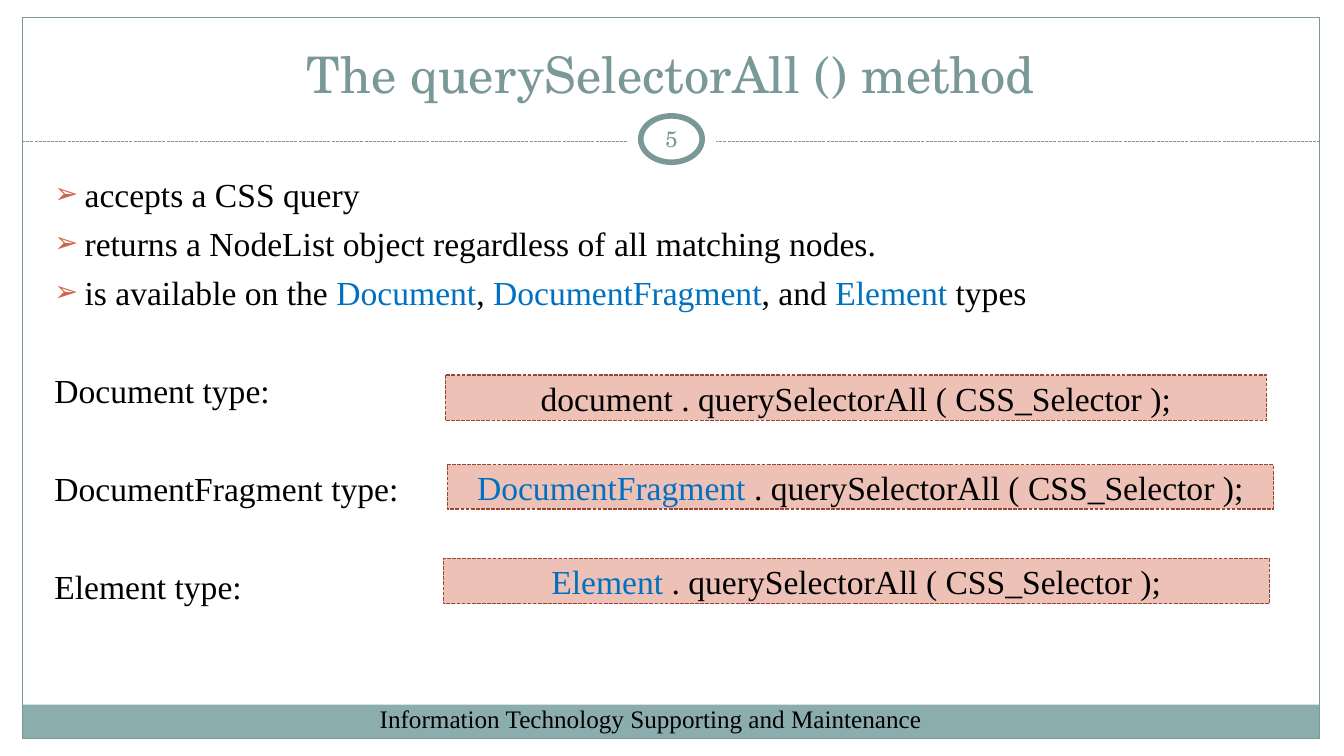
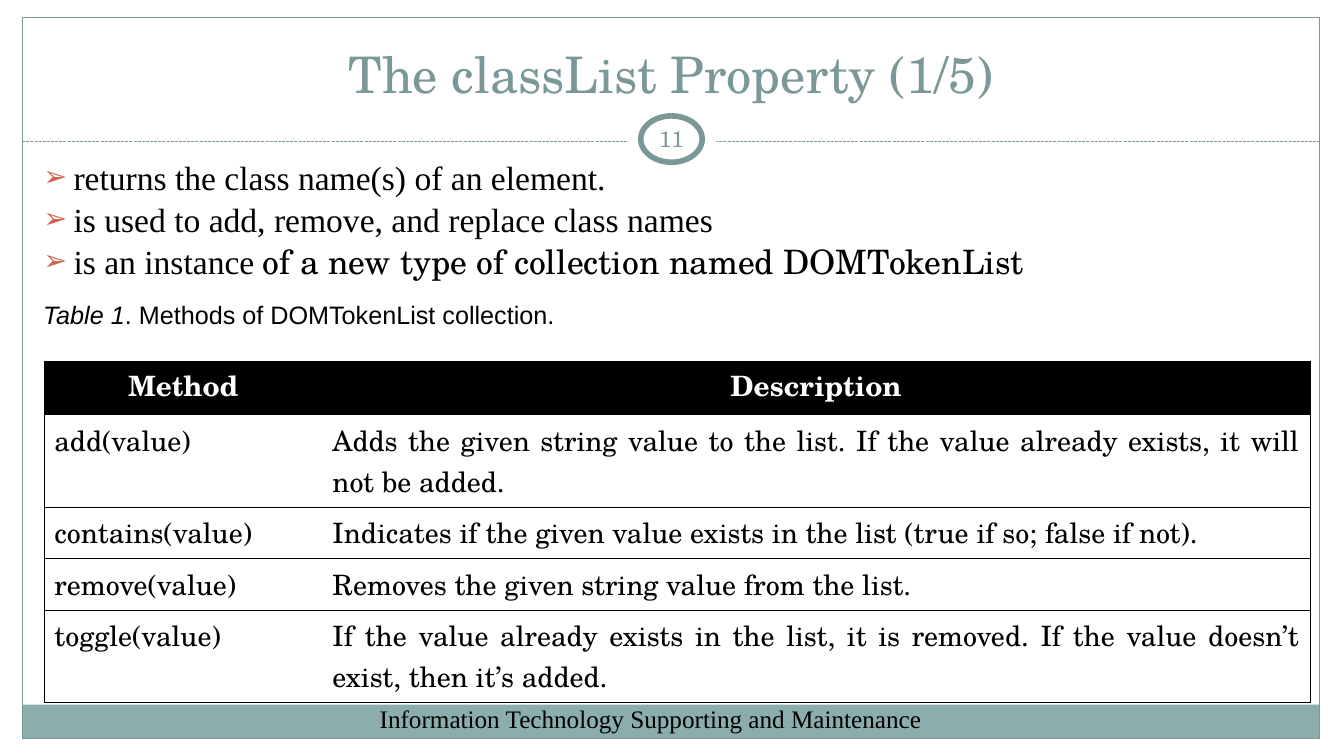
import pptx
import pptx.util
import pptx.dml.color
import pptx.enum.dml
import pptx.enum.shapes
import pptx.enum.text
import pptx.oxml.ns
from lxml import etree

Inches = pptx.util.Inches
Pt = pptx.util.Pt
SHAPE = pptx.enum.shapes.MSO_SHAPE
ALIGN = pptx.enum.text.PP_ALIGN
ANCHOR = pptx.enum.text.MSO_ANCHOR

# Shared look
TEAL, BAND, ACCENT = "7B9899", "8CADAE", "D16349"
CODE_FILL, CODE_LINE, LINK = "EDC1B6", "994733", "0070C0"
BLACK, WHITE = "000000", "FFFFFF"
SERIF, SCHOLA, SANS = "Times New Roman", "TeX Gyre Schola", "Arial"
FOOTER = "Information Technology Supporting and Maintenance"
BODY_LINE, TABLE_LINE = 29, 29.4

# Slide content: a line is a list of (text, run changes)
QUERY_POINTS = [
    [("accepts a CSS query", {})],
    [("returns a NodeList object regardless of all matching nodes.", {})],
    [("is available on the ", {}), ("Document", {"color": LINK}), (", ", {}),
     ("DocumentFragment", {"color": LINK}), (", and ", {}),
     ("Element", {"color": LINK}), (" types", {})],
]
QUERY_LABELS = ["Document type:", "DocumentFragment type:", "Element type:"]
QUERY_CALL = " . querySelectorAll ( CSS_Selector );"
QUERY_CODE = [
    ("document", BLACK, (4.42, 3.72, 8.15, 0.45)),
    ("DocumentFragment", LINK, (4.44, 4.61, 8.2, 0.44)),
    ("Element", LINK, (4.4, 5.54, 8.2, 0.45)),
]
CLASS_POINTS = [
    [("returns the class name(s) of an element.", {})],
    [("is used to add, remove, and replace class names", {})],
    [("is an instance ", {}),
     ("of a new type of collection named DOMTokenList", {"font": SCHOLA})],
]
CLASS_METHODS = [
    ("Method", "Description"),
    ("add(value)", "Adds the given string value to the list. If the value "
                   "already exists, it will not be added."),
    ("contains(value)", "Indicates if the given value exists in the list "
                        "(true if so; false if not)."),
    ("remove(value)", "Removes the given string value from the list."),
    ("toggle(value)", "If the value already exists in the list, it is removed. "
                      "If the value doesn’t exist, then it’s added."),
]


def rgb(color):
    return pptx.dml.color.RGBColor.from_string(color)


def add_xml(parent, tag, **attributes):
    return etree.SubElement(parent, pptx.oxml.ns.qn(tag), attributes)


def add_run(paragraph, text, size, font=SERIF, color=BLACK, bold=False, italic=False):
    run = paragraph.add_run()
    run.text = text
    run.font.size = Pt(size)
    run.font.name = font
    run.font.bold = bold
    run.font.italic = italic
    run.font.color.rgb = rgb(color)


def place(part, box):
    part.left, part.top, part.width, part.height = map(Inches, box)


def style_line(line, color, width, dashed=False):
    line.color.rgb = rgb(color)
    line.width = Pt(width)
    if dashed:
        line.dash_style = pptx.enum.dml.MSO_LINE.SQUARE_DOT


def add_panel(slide, kind, box, fill=None, line=None):
    panel = slide.shapes.add_shape(kind, *map(Inches, box))
    panel.shadow.inherit = False
    if fill:
        panel.fill.solid()
        panel.fill.fore_color.rgb = rgb(fill)
    else:
        panel.fill.background()
    if line:
        style_line(panel.line, *line)
    else:
        panel.line.fill.background()
    return panel


def add_text(slide, box, runs, size):
    frame = slide.shapes.add_textbox(*map(Inches, box)).text_frame
    frame.word_wrap = True
    for text, changes in runs:
        add_run(frame.paragraphs[0], text, size, **changes)


def add_slide(deck, title, number):
    """Adds a slide with the shared frame, title, number ring and footer."""
    slide = deck.slides.add_slide(deck.slide_layouts[1])
    heading = slide.shapes.title
    place(heading, (0.44, 0.25, 12.44, 0.83))
    frame = heading.text_frame
    frame.auto_size = pptx.enum.text.MSO_AUTO_SIZE.NONE
    frame.vertical_anchor = ANCHOR.BOTTOM
    frame.paragraphs[0].alignment = ALIGN.CENTER
    add_run(frame.paragraphs[0], title, 36, SCHOLA, TEAL)

    # Frame, footer band and rule
    add_panel(slide, SHAPE.RECTANGLE, (0.22, 6.99, 12.88, 0.34), BAND)
    add_panel(slide, SHAPE.RECTANGLE, (0.22, 0.17, 12.88, 7.16), None, (TEAL, 0.75))
    rule = slide.shapes.add_connector(
        pptx.enum.shapes.MSO_CONNECTOR.STRAIGHT,
        Inches(0.22), Inches(1.4), Inches(13.1), Inches(1.4))
    style_line(rule.line, TEAL, 0.75, True)
    add_xml(rule.element.spPr, "a:effectLst")

    # Slide number ring
    add_panel(slide, SHAPE.OVAL, (6.22, 1.05, 0.89, 0.67), WHITE)
    ring = add_panel(slide, SHAPE.OVAL, (6.36, 1.15, 0.61, 0.46), WHITE, (TEAL, 4))
    ring_text = ring.text_frame
    ring_text.word_wrap = False
    ring_text.margin_left = ring_text.margin_right = 0
    ring_text.margin_top = ring_text.margin_bottom = 0
    ring_text.vertical_anchor = ANCHOR.MIDDLE
    ring_text.paragraphs[0].alignment = ALIGN.CENTER
    add_run(ring_text.paragraphs[0], str(number), 16, SCHOLA, TEAL)

    add_text(slide, (3.67, 6.93, 5.75, 0.4), [(FOOTER, {})], 18)
    return slide


def fill_body(slide, box, points, gap, labels=(), label_gap=0):
    """Fills the body with bulleted points, then plain labels."""
    body = slide.placeholders[1]
    place(body, box)
    frame = body.text_frame
    frame.auto_size = pptx.enum.text.MSO_AUTO_SIZE.NONE
    frame.vertical_anchor = ANCHOR.TOP
    lines = [(runs, True, gap) for runs in points]
    lines += [([(label, {})], False, label_gap) for label in labels]
    for index, (runs, bulleted, space) in enumerate(lines):
        paragraph = frame.paragraphs[0] if index == 0 else frame.add_paragraph()
        properties = paragraph._p.get_or_add_pPr()
        properties.set("marL", str(Inches(0.3)))
        properties.set("indent", str(Inches(-0.3)))
        if bulleted:
            add_xml(add_xml(properties, "a:buClr"), "a:srgbClr", val=ACCENT)
            add_xml(properties, "a:buSzPct", val="85000")
            add_xml(properties, "a:buChar", char="➢")
        else:
            add_xml(properties, "a:buNone")
        paragraph.line_spacing = Pt(BODY_LINE)
        paragraph.space_before = Pt(space if index else 0)
        for text, changes in runs:
            add_run(paragraph, text, 24, **changes)


def add_code(slide, owner, color, box):
    code = add_panel(slide, SHAPE.RECTANGLE, box, CODE_FILL, (CODE_LINE, 0.91, True))
    code.text_frame.word_wrap = True
    code.text_frame.vertical_anchor = ANCHOR.MIDDLE
    paragraph = code.text_frame.paragraphs[0]
    paragraph.alignment = ALIGN.CENTER
    add_run(paragraph, owner, 24, color=color)
    add_run(paragraph, QUERY_CALL, 24)


def set_borders(cell, sides):
    properties = cell._tc.get_or_add_tcPr()
    for side in "LRTB":
        edge = add_xml(properties, "a:ln" + side, w=str(Pt(0.34)))
        if side in sides:
            add_xml(add_xml(edge, "a:solidFill"), "a:srgbClr", val=BLACK)
        else:
            add_xml(edge, "a:noFill")


def add_methods(slide, rows, left, top, widths, heights):
    table = slide.shapes.add_table(
        len(rows), len(widths), Inches(left), Inches(top),
        Inches(sum(widths)), Inches(sum(heights))).table
    for column, width in zip(table.columns, widths):
        column.width = Inches(width)
    for r, (texts, height) in enumerate(zip(rows, heights)):
        table.rows[r].height = Inches(height)
        header = r == 0
        for c, text in enumerate(texts):
            cell = table.cell(r, c)
            set_borders(cell, "LTB" if c == 0 else "RTB")
            if header:
                cell.fill.solid()
                cell.fill.fore_color.rgb = rgb(BLACK)
            else:
                cell.fill.background()
            paragraph = cell.text_frame.paragraphs[0]
            paragraph.alignment = ALIGN.CENTER if header else ALIGN.JUSTIFY
            paragraph.line_spacing = Pt(TABLE_LINE)
            add_run(paragraph, text, 20, SCHOLA, WHITE if header else BLACK, header)


def main():
    deck = pptx.Presentation()
    deck.slide_width, deck.slide_height = Inches(13.34), Inches(7.5)

    # querySelectorAll
    query = add_slide(deck, "The querySelectorAll () method", 5)
    fill_body(query, (0.44, 1.67, 12.56, 5), QUERY_POINTS, 6, QUERY_LABELS, 41)
    for owner, color, box in QUERY_CODE:
        add_code(query, owner, color, box)

    # classList
    classes = add_slide(deck, "The classList Property (1/5)", 11)
    fill_body(classes, (0.33, 1.5, 12.67, 1.4), CLASS_POINTS, 1)
    add_text(classes, (0.33, 2.92, 9.25, 0.4),
             [("Table 1", {"font": SANS, "italic": True}),
              (". Methods of DOMTokenList collection.", {"font": SANS})], 18)
    add_methods(classes, CLASS_METHODS, 0.44, 3.58, (2.76, 9.8),
                (0.53, 0.92, 0.51, 0.51, 0.92))

    deck.save("out.pptx")


if __name__ == "__main__":
    main()
